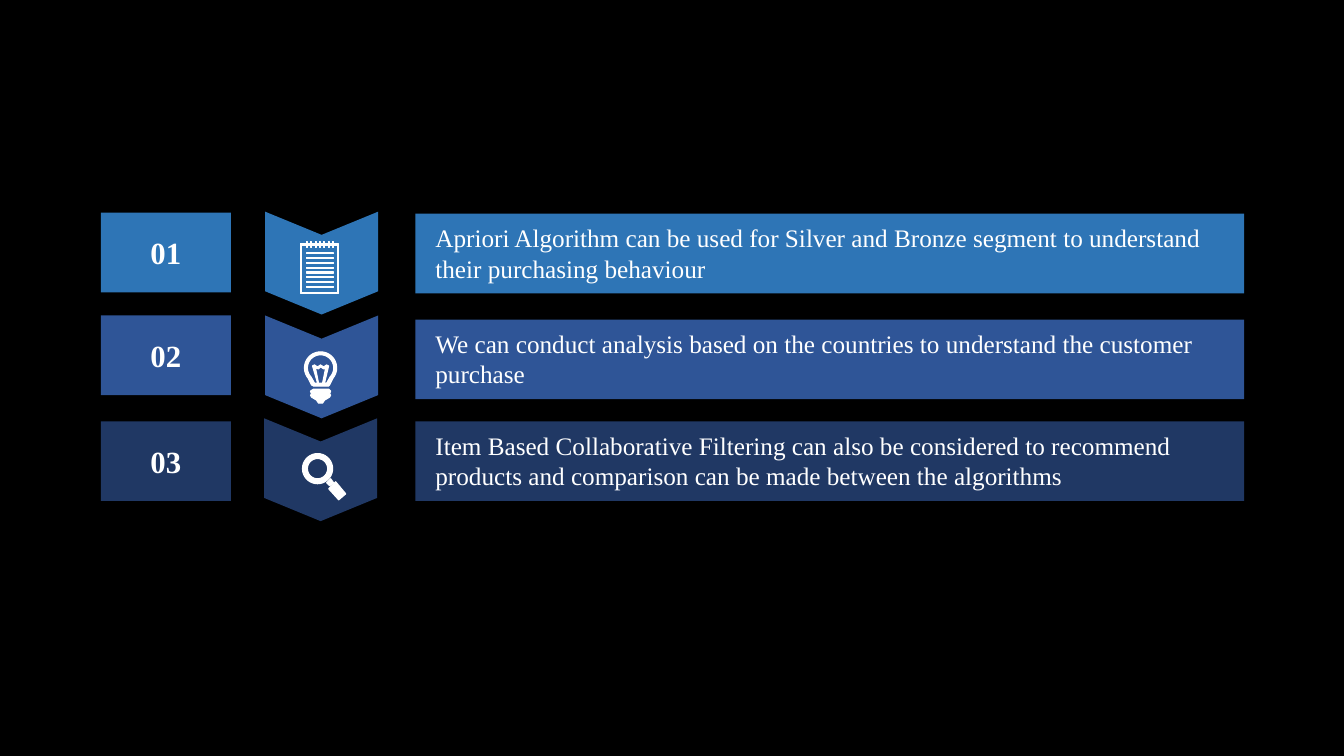
import math
from dataclasses import dataclass
import pptx
import pptx.util
import pptx.dml.color
import pptx.enum.shapes
import pptx.enum.text

Inches = pptx.util.Inches


@dataclass(frozen=True)
class Theme:
    back: str = "000000"
    white: str = "FFFFFF"
    fills: tuple = ("2E75B6", "2F5597", "203864")
    font: str = "Times New Roman"
    body: int = 18
    number: int = 22
    edge: float = 0.75


THEME = Theme()


def color(code):
    return pptx.dml.color.RGBColor.from_string(code)


def paint(shape, fill):
    shape.shadow.inherit = False
    shape.fill.solid()
    shape.fill.fore_color.rgb = color(fill)
    shape.line.fill.background()


def write(shape, text, size, bold=False):
    frame = shape.text_frame
    frame.text = text
    frame.word_wrap = True
    font = frame.paragraphs[0].runs[0].font
    font.name = THEME.font
    font.size = pptx.util.Pt(size)
    font.bold = bold
    font.color.rgb = color(THEME.white)
    return frame


def block(slide, box, fill):
    kind = pptx.enum.shapes.MSO_SHAPE.RECTANGLE
    shape = slide.shapes.add_shape(kind, *map(Inches, box))
    paint(shape, fill)
    return shape


def outline(slide, left, top, paths, fill):
    def place(point):
        return Inches(left + point[0]), Inches(top + point[1])

    pen = slide.shapes.build_freeform(*place(paths[0][0]), scale=1.0)
    for index, path in enumerate(paths):
        if index:
            pen.move_to(*place(path[0]))
        pen.add_line_segments([place(point) for point in path[1:]], close=True)
    shape = pen.convert_to_shape()
    paint(shape, fill)
    return shape


def rect(left, top, right, bottom):
    return [(left, top), (right, top), (right, bottom), (left, bottom)]


def arc(x, y, radius, start, end, steps=36):
    turns = [math.radians(start + (end - start) * i / steps) for i in range(steps + 1)]
    return [(x + radius * math.cos(a), y + radius * math.sin(a)) for a in turns]


def notepad():
    rings = [rect(x, 0.3, x + 0.01, 0.36) for x in (0.41 + 0.26 * i / 6 for i in range(7))]
    lines = [rect(0.41, y, 0.68, y + 0.01) for y in (0.41 + 0.33 * i / 7 for i in range(8))]
    return [rect(0.35, 0.32, 0.73, 0.81), rect(0.36, 0.34, 0.72, 0.8)] + rings + lines


def bulb():
    glass = arc(0.55, 0.52, 0.16, 141, 399) + [
        (0.64, 0.69), (0.63, 0.7), (0.48, 0.7), (0.46, 0.69)]
    inner = arc(0.55, 0.52, 0.13, 137, 403) + [
        (0.61, 0.67), (0.59, 0.67), (0.63, 0.5), (0.61, 0.49), (0.58, 0.51), (0.55, 0.49),
        (0.52, 0.51), (0.49, 0.49), (0.47, 0.5), (0.52, 0.67), (0.49, 0.67)]
    wire = [(0.53, 0.67), (0.57, 0.67), (0.6, 0.52), (0.58, 0.53), (0.55, 0.51),
            (0.53, 0.53), (0.5, 0.52)]
    base = [(0.48, 0.73), (0.63, 0.73), (0.65, 0.75), (0.64, 0.78), (0.65, 0.79),
            (0.64, 0.81), (0.59, 0.84), (0.57, 0.87), (0.53, 0.87), (0.51, 0.84),
            (0.46, 0.81), (0.45, 0.79), (0.46, 0.78), (0.45, 0.75)]
    return [glass, inner, wire, base]


def lens():
    collar = [(0.69, 0.64), (0.66, 0.6), (0.62, 0.64), (0.65, 0.67)]
    handle = [(0.71, 0.63), (0.81, 0.75), (0.74, 0.81), (0.64, 0.7)]
    return [arc(0.53, 0.5, 0.15, 0, 360), arc(0.53, 0.5, 0.1, 0, 360), collar, handle]


def number(slide, box, text, fill):
    shape = block(slide, box, fill)
    frame = write(shape, text, THEME.number, True)
    frame.vertical_anchor = pptx.enum.text.MSO_ANCHOR.MIDDLE
    frame.paragraphs[0].alignment = pptx.enum.text.PP_ALIGN.CENTER


def arrow(slide, box, icon, fill):
    left, top, width, height = box
    notch = 0.23
    side = height - notch
    shape = [(0, 0), (0, side), (width / 2, height), (width, side), (width, 0), (width / 2, notch)]
    outline(slide, left, top, [shape], fill)
    sign = outline(slide, left, top, icon, THEME.white)
    sign.line.color.rgb = color(THEME.white)
    sign.line.width = pptx.util.Pt(THEME.edge)


def banner(slide, box, text, fill):
    left, top, width, height = box
    block(slide, box, fill)
    area = (left + 0.1, top + 0.04, width - 0.2, height - 0.08)
    write(slide.shapes.add_textbox(*map(Inches, area)), text, THEME.body)


def main():
    deck = pptx.Presentation()
    deck.slide_width = Inches(13.33)
    deck.slide_height = Inches(7.5)
    slide = deck.slides.add_slide(deck.slide_layouts[6])
    slide.background.fill.solid()
    slide.background.fill.fore_color.rgb = color(THEME.back)
    rows = [
        (2.11, (2.63, 2.1), 2.12, notepad(),
         "Apriori Algorithm can be used for Silver and Bronze segment to understand "
         "their purchasing behaviour"),
        (3.13, (2.63, 3.13), 3.17, bulb(),
         "We can conduct analysis based on the countries to understand the customer purchase"),
        (4.18, (2.62, 4.15), 4.18, lens(),
         "Item Based Collaborative Filtering can also be considered to recommend "
         "products and comparison can be made between the algorithms"),
    ]
    for index, (row, fill) in enumerate(zip(rows, THEME.fills), 1):
        top, point, bar, icon, text = row
        number(slide, (1, top, 1.29, 0.79), f"{index:02}", fill)
        arrow(slide, (*point, 1.12, 1.02), icon, fill)
        banner(slide, (4.12, bar, 8.22, 0.79), text, fill)
    deck.save("out.pptx")


if __name__ == "__main__":
    main()
